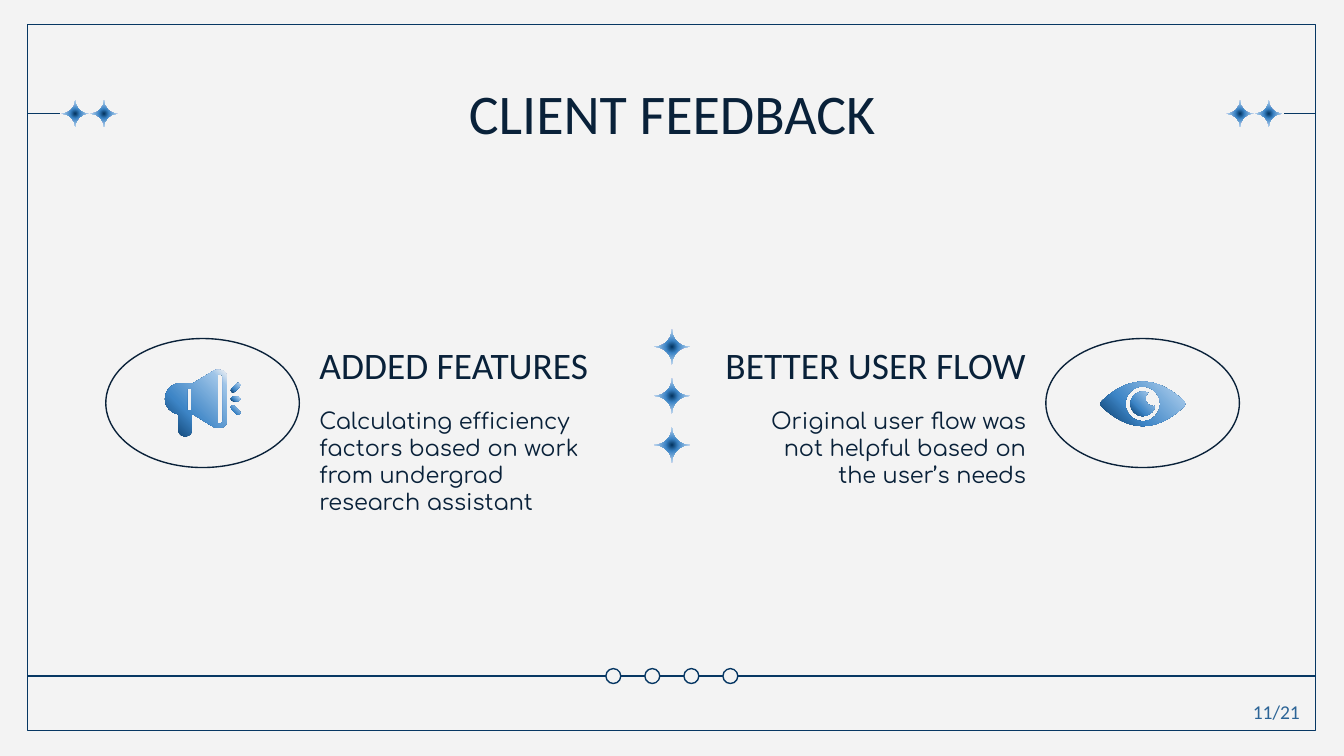
"""Build the client feedback slide with two mirrored feedback columns."""
import math
from lxml import etree
from pptx import Presentation
from pptx import util as u
from pptx.dml.color import RGBColor
from pptx.enum import shapes, text
from pptx.oxml.ns import qn

WIDTH, HEIGHT = 720, 405
NAVY, INK, PAPER, BLUE = "073763", "092139", "F3F3F3", "2C6496"
LEFT, CENTER, RIGHT = text.PP_ALIGN.LEFT, text.PP_ALIGN.CENTER, text.PP_ALIGN.RIGHT
TOP, BOTTOM = text.MSO_ANCHOR.TOP, text.MSO_ANCHOR.BOTTOM
FRAME = (14.9, 13, 690, 378.5)
RULE_Y, TITLE_Y, COLUMN_Y = 362.2, 60.9, 212.1

STAR_FILL = ([(0, NAVY), (25, "3D85C6"), (60, "9FC5E8"), (100, PAPER)], (50, 50, 50, 50))
ICON_FILL = ([(0, PAPER), (13, "9FC5E8"), (64, "3D85C6"), (100, NAVY)], (100, 0, 0, 100))

PLACEHOLDERS = {
    0: ("CLIENT FEEDBACK", (56.6, 42.1, 607, 38.2), 30, "Calibri", CENTER, TOP, 0),
    1: ("ADDED FEATURES", (163.9, 176.4, 165.6, 38.2), 20, "Calibri", LEFT, BOTTOM, 7.2),
    2: ("Calculating efficiency factors based on work from undergrad research assistant",
        (163.9, 211, 165.6, 59.8), 12, "Comfortaa", LEFT, TOP, 7.2),
    3: ("BETTER USER FLOW", (380.5, 176.4, 176.4, 38.2), 20, "Calibri", RIGHT, BOTTOM, 7.2),
    4: ("Original user flow was not helpful based on the user’s needs",
        (391.3, 211, 165.6, 42.5), 12, "Comfortaa", RIGHT, TOP, 7.2),
}
PAGE = ("11/21", (664.1, 371.5, 39.6, 20.2), 10.5, "Calibri", LEFT, TOP, 3.6)

EYE_AT, HORN_AT = (612.2, 216.4), (88.4, 198.2)
EYE = [(0, -11.9), (-12.2, -11.9, -21.6, -1.8, -22.3, -1.1), (-22.8, -0.5, -22.8, 0.5, -22.3, 1.1),
       (-21.6, 1.8, -12.2, 11.9, 0, 11.9), (12.2, 11.9, 21.6, 1.8, 22.3, 1.1),
       (22.8, 0.5, 22.8, -0.5, 22.3, -1.1), (21.6, -1.8, 12.2, -11.9, 0, -11.9)]
IRIS = [(0, -6.6), (-2.6, -6.6, -5, -5, -6.1, -2.5), (-7.1, 0, -6.5, 2.8, -4.6, 4.7),
        (-3.4, 5.9, -1.7, 6.6, 0, 6.6), (0.8, 6.6, 1.7, 6.4, 2.5, 6.1),
        (4.8, 5.1, 6.4, 3.3, 6.5, 1.1), (6.3, 1.2, 6, 1.3, 5.7, 1.3),
        (3.3, 1.3, 1.4, -0.6, 1.4, -3), (1.4, -4, 1.9, -5.1, 2.9, -5.9),
        (2, -6.4, 1, -6.6, 0, -6.6)]
HORN = [(27.4, 0), (26.6, 0, 26.6, 0.2, 15.1, 7.2), (8, 7.2), (3.6, 7.2, 0, 11, 0, 15.6),
        (0, 19.8, 3, 23.2, 7.2, 23.8), (7.2, 32.2), (7.2, 34.2, 8.7, 35.6, 10.8, 35.6),
        (12.9, 35.6, 14.4, 34.2, 14.4, 32.2), (14.4, 23.8), (15.1, 23.8),
        (26.6, 31, 26.6, 31, 27.4, 31), (29.5, 31), (31.5, 31, 33.1, 29.5, 33.1, 27.4),
        (33.1, 3.6), (33.1, 1.6, 31.5, 0, 29.5, 0)]
HORN_HOLES = [[(14, 10), (14, 21.6), (11.9, 21.6), (11.9, 10)],
              [(29.5, 2.4), (30.5, 2.4, 31, 3, 31, 3.8), (31, 27.2),
               (31, 28.2, 30.5, 28.6, 29.5, 28.6), (28.3, 28.6), (28.3, 2.4)]]
WAVES = [(37.8, 9.5, -45, 2), (37.8, 15.5, 0, 1.4), (37.8, 21.5, 45, 2)]


def color(value):
    return RGBColor.from_string(value)


def points(seg):
    return list(zip(seg[::2], seg[1::2]))


def star(r):
    k = 0.45 * r
    return [(0, -r), (0, -k, -k, 0, -r, 0), (-k, 0, 0, k, 0, r),
            (0, k, k, 0, r, 0), (k, 0, 0, -k, 0, -r)]


def pill(cx, cy, angle, half, r=1.15):
    """Outline of a round-ended bar turned about its centre."""
    k, end = 0.55 * r, half + r
    path = [(-half, -r), (-half - k, -r, -end, -k, -end, 0), (-end, k, -half - k, r, -half, r),
            (half, r), (half + k, r, end, k, end, 0), (end, -k, half + k, -r, half, -r)]
    c, s = math.cos(math.radians(angle)), math.sin(math.radians(angle))
    return [tuple(v for x, y in points(seg) for v in (cx + x * c - y * s, cy + x * s + y * c))
            for seg in path]


def add_outline(slide, contours, origin, fill):
    fb = None
    for path in contours:
        pts = [(u.Pt(x + origin[0]), u.Pt(y + origin[1])) for seg in path for x, y in points(seg)]
        if fb is None:
            fb = slide.shapes.build_freeform(*pts[0], scale=1.0)
        else:
            fb.move_to(*pts[0])
        fb.add_line_segments(pts[1:])
    sp = fb.convert_to_shape()
    geom = sp._element.spPr.find(qn("a:custGeom"))
    lines = iter(list(geom.iter(qn("a:lnTo"))))
    for seg in (seg for path in contours for seg in path[1:]):
        first = next(lines)
        if len(seg) == 6:
            curve = etree.Element(qn("a:cubicBezTo"))
            first.addprevious(curve)
            for ln in (first, next(lines), next(lines)):
                curve.append(ln[0])
                ln.getparent().remove(ln)
    sp.shadow.inherit = False
    sp.line.fill.background()
    stops, focus = fill
    grad = etree.Element(qn("a:gradFill"), rotWithShape="1")
    gs_list = etree.SubElement(grad, qn("a:gsLst"))
    for pos, value in stops:
        gs = etree.SubElement(gs_list, qn("a:gs"), pos=str(pos * 1000))
        etree.SubElement(gs, qn("a:srgbClr"), val=value)
    circle = etree.SubElement(grad, qn("a:path"), path="circle")
    etree.SubElement(circle, qn("a:fillToRect"),
                     {side: str(v * 1000) for side, v in zip("ltrb", focus)})
    geom.addnext(grad)


def add_preset(slide, kind, box, line, fill=None):
    sp = slide.shapes.add_shape(kind, *map(u.Pt, box))
    sp.shadow.inherit = False
    if fill:
        sp.fill.solid()
        sp.fill.fore_color.rgb = color(fill)
    else:
        sp.fill.background()
    sp.line.color.rgb = color(line)
    sp.line.width = u.Pt(0.75)


def add_rule(slide, x1, x2, y):
    cx = slide.shapes.add_connector(shapes.MSO_CONNECTOR.STRAIGHT, *map(u.Pt, (x1, y, x2, y)))
    cx.line.color.rgb = color(NAVY)
    cx.line.width = u.Pt(0.75)
    etree.SubElement(cx._element.spPr, qn("a:effectLst"))


def write(sp, content, box, size, font, align, anchor, inset, ink=INK, wrap=True):
    sp.left, sp.top, sp.width, sp.height = map(u.Pt, box)
    tf = sp.text_frame
    tf.word_wrap, tf.auto_size, tf.vertical_anchor = wrap, text.MSO_AUTO_SIZE.NONE, anchor
    tf.margin_left = tf.margin_right = u.Pt(7.2)
    tf.margin_top, tf.margin_bottom = u.Pt(inset), u.Pt(inset or 7.2)
    p = tf.paragraphs[0]
    pPr = p._p.get_or_add_pPr()
    pPr.set("marL", "0")
    pPr.set("indent", "0")
    etree.SubElement(pPr, qn("a:buNone"))
    p.alignment, p.space_before = align, u.Pt(0)
    r = p.add_run()
    r.text = content
    r.font.name, r.font.size, r.font.bold = font, u.Pt(size), False
    r.font.color.rgb = color(ink)


def main():
    prs = Presentation()
    prs.slide_width, prs.slide_height = u.Pt(WIDTH), u.Pt(HEIGHT)
    s = prs.slides.add_slide(prs.slide_layouts.get_by_name("Comparison"))
    s.background.fill.solid()
    s.background.fill.fore_color.rgb = color(PAPER)

    oval = shapes.MSO_SHAPE.OVAL
    add_preset(s, shapes.MSO_SHAPE.RECTANGLE, FRAME, NAVY)
    add_rule(s, WIDTH - FRAME[0], FRAME[0], RULE_Y)
    for i in reversed(range(4)):
        add_preset(s, oval, (324.6 + 20.9 * i, RULE_Y - 4, 8, 8), NAVY, PAPER)
    for mirror in (lambda x: x, lambda x: WIDTH - x):
        add_rule(s, mirror(FRAME[0]), mirror(31.9), TITLE_Y)
        for x in (40.3, 55.7):
            add_outline(s, [star(7.1)], (mirror(x), TITLE_Y), STAR_FILL)

    for idx, spec in PLACEHOLDERS.items():
        write(s.placeholders[idx], *spec)
    for x in (56.7, 560.3):
        add_preset(s, oval, (x, 181.4, 103.7, 69.1), INK)

    r, k = 9.3, 5.1
    socket = [(0, -r), (k, -r, r, -k, r, 0), (r, k, k, r, 0, r),
              (-k, r, -r, k, -r, 0), (-r, -k, -k, -r, 0, -r)]
    add_outline(s, [EYE, socket], EYE_AT, ICON_FILL)
    add_outline(s, [IRIS], EYE_AT, ICON_FILL)
    for wave in WAVES:
        add_outline(s, [pill(*wave)], HORN_AT, ICON_FILL)
    add_outline(s, [HORN] + HORN_HOLES, HORN_AT, ICON_FILL)
    for i in (-1, 0, 1):
        add_outline(s, [star(9.4)], (WIDTH / 2, COLUMN_Y + 26.3 * i), STAR_FILL)

    write(s.shapes.add_textbox(0, 0, 0, 0), *PAGE, ink=BLUE, wrap=False)
    prs.save("out.pptx")


if __name__ == "__main__":
    main()
